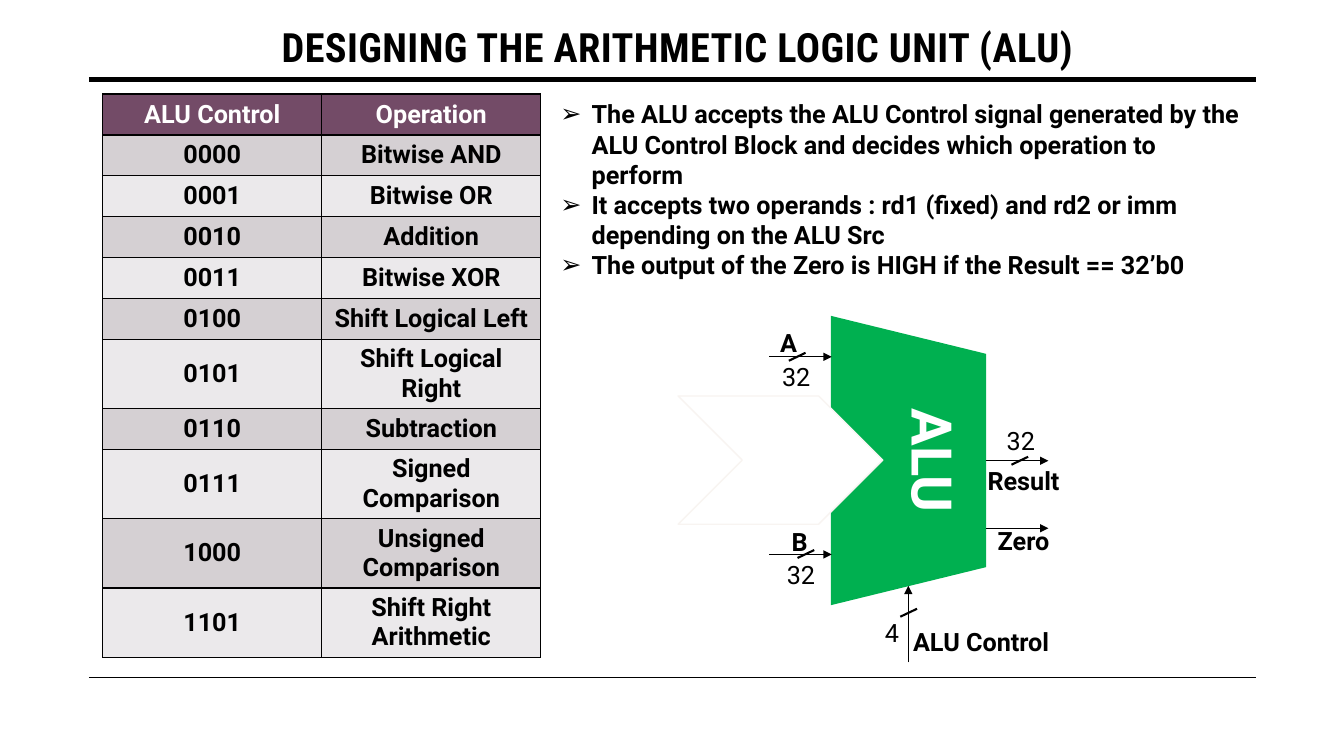
from lxml import etree
from pptx import Presentation
from pptx import util as u
from pptx.dml.color import RGBColor
from pptx.enum import shapes, text
from pptx.oxml.ns import qn

BLACK, WHITE, GREEN = "000000", "FFFFFF", "00B050"
LEFT, CENTER = text.PP_ALIGN.LEFT, text.PP_ALIGN.CENTER


def write(para, words, align=CENTER, color=BLACK, **changes):
    span = para.add_run()
    span.text = words
    para.alignment = align
    span.font.color.rgb = RGBColor.from_string(color)
    formats = {"name": "Roboto", "size": u.Pt(18), "bold": True} | changes
    for name, value in formats.items():
        setattr(span.font, name, value)
    return span


def draw_line(x1, y1, x2, y2, width, arrow=False):
    line = slide.shapes.add_connector(
        shapes.MSO_CONNECTOR.STRAIGHT, u.Cm(x1), u.Cm(y1), u.Cm(x2), u.Cm(y2))
    line.line.color.rgb = RGBColor.from_string(BLACK)
    line.line.width = u.Pt(width)
    if arrow:
        etree.SubElement(line.line._get_or_add_ln(), qn("a:tailEnd"), type="triangle")
    etree.SubElement(line._element.spPr, qn("a:effectLst"))


deck = Presentation()
deck.slide_width, deck.slide_height = u.Cm(33.87), u.Cm(19.05)
slide = deck.slides.add_slide(deck.slide_layouts[5])

# Rules above and below the content
draw_line(2.24, 2.01, 31.65, 2.01, 3.5)
draw_line(2.24, 17.07, 31.65, 17.07, 1)

# Title
title = slide.shapes.title
title.left, title.top, title.width, title.height = u.Cm(1.5), u.Cm(0.46), u.Cm(31.17), u.Cm(1.45)
title.text_frame.auto_size = text.MSO_AUTO_SIZE.NONE
title.text_frame.vertical_anchor = text.MSO_ANCHOR.BOTTOM
heading = write(title.text_frame.paragraphs[0], "DESIGNING THE ARITHMETIC LOGIC UNIT (ALU)",
                name="Roboto Condensed", size=u.Pt(28.8))
heading.font._element.set("spc", "30")

# Table of operations
operations = [
    ("ALU Control", "Operation"),
    ("0000", "Bitwise AND"),
    ("0001", "Bitwise OR"),
    ("0010", "Addition"),
    ("0011", "Bitwise XOR"),
    ("0100", "Shift Logical Left"),
    ("0101", "Shift Logical Right"),
    ("0110", "Subtraction"),
    ("0111", "Signed Comparison"),
    ("1000", "Unsigned Comparison"),
    ("1101", "Shift Right Arithmetic"),
]
heights = [1.74 if len(name) > 18 or name == "Signed Comparison" else 1.03
           for code, name in operations]
table = slide.shapes.add_table(len(operations), 2, u.Cm(2.59), u.Cm(2.37),
                               u.Cm(11.04), u.Cm(sum(heights))).table
for row, (values, height) in enumerate(zip(operations, heights)):
    table.rows[row].height = u.Cm(height)
    fill = "734B67" if row == 0 else ("EBE9EB", "D5D0D3")[row % 2]
    for column, value in enumerate(values):
        cell = table.cell(row, column)
        cell.vertical_anchor = text.MSO_ANCHOR.MIDDLE
        write(cell.text_frame.paragraphs[0], value, color=BLACK if row else WHITE)
        properties = cell._tc.get_or_add_tcPr()
        for side in ("lnL", "lnR", "lnT", "lnB"):
            border = etree.SubElement(properties, qn(f"a:{side}"), w=str(u.Pt(1)))
            solid = etree.SubElement(border, qn("a:solidFill"))
            etree.SubElement(solid, qn("a:srgbClr"), val=BLACK)
        cell.fill.solid()
        cell.fill.fore_color.rgb = RGBColor.from_string(fill)

# Bulleted notes
notes = [
    "The ALU accepts the ALU Control signal generated by the ALU Control Block "
    "and decides which operation to perform",
    "It accepts two operands : rd1 (fixed) and rd2 or imm depending on the ALU Src",
    "The output of the Zero is HIGH if the Result == 32’b0",
]
box = slide.shapes.add_textbox(u.Cm(13.87), u.Cm(2.36), u.Cm(17.75), u.Cm(5.64))
box.text_frame.word_wrap = True
for index, note in enumerate(notes):
    para = box.text_frame.add_paragraph() if index else box.text_frame.paragraphs[0]
    properties = para._p.get_or_add_pPr()
    properties.set("marL", str(u.Cm(0.79)))
    properties.set("indent", str(-u.Cm(0.79)))
    etree.SubElement(properties, qn("a:buFont"), typeface="Arial")
    etree.SubElement(properties, qn("a:buChar"), char="➢")
    write(para, note, LEFT)

# ALU body: a trapezoid with a chevron cutting its notch
body = slide.shapes.add_shape(shapes.MSO_SHAPE.TRAPEZOID,
                              u.Cm(19.25), u.Cm(9.65), u.Cm(7.29), u.Cm(3.91))
body.rotation = 90
body.adjustments[0] = 0.245
body.text_frame.vertical_anchor = text.MSO_ANCHOR.TOP
write(body.text_frame.paragraphs[0], "ALU", color=WHITE, size=u.Pt(40))
notch = slide.shapes.add_shape(shapes.MSO_SHAPE.CHEVRON,
                               u.Cm(17.09), u.Cm(9.98), u.Cm(5.16), u.Cm(3.23))
for shape, fill in ((body, GREEN), (notch, WHITE)):
    shape.shadow.inherit = False
    shape.fill.solid()
    shape.fill.fore_color.rgb = RGBColor.from_string(fill)
body.line.fill.background()
notch.line.color.rgb = RGBColor.from_string("F8F4F1")
notch.line.width = u.Pt(1)

# Signal arrows: control, A, B, result, zero
for ends in [(22.89, 16.69, 22.89, 14.76), (19.38, 8.99, 20.96, 8.99),
             (19.38, 13.97, 20.96, 13.97), (24.84, 11.61, 26.42, 11.61),
             (24.84, 13.31, 26.42, 13.31)]:
    draw_line(*ends, 0.5, arrow=True)

# Bus-width slashes, by centre
for x, y in [(20.09, 8.99), (20.31, 13.96), (25.7, 11.61), (22.9, 15.44)]:
    draw_line(x - 0.21, y + 0.1, x + 0.21, y - 0.1, 1.5)

# Signal names and bus widths
NAME, BUS = 4.75, 1.27
labels = [
    ("ALU Control", 22.76, 15.67, NAME, LEFT),
    ("Result", 23.42, 11.61, NAME, CENTER),
    ("Zero", 23.42, 13.11, NAME, CENTER),
    ("A", 17.5, 8.13, NAME, CENTER),
    ("B", 17.78, 13.13, NAME, CENTER),
    ("32", 19.46, 8.97, BUS, LEFT),
    ("32", 19.58, 13.97, BUS, LEFT),
    ("32", 25.12, 10.59, BUS, LEFT),
    ("4", 22.05, 15.44, BUS, LEFT),
]
for words, x, y, width, align in labels:
    box = slide.shapes.add_textbox(u.Cm(x), u.Cm(y), u.Cm(width), u.Cm(1.02))
    box.text_frame.word_wrap = True
    write(box.text_frame.paragraphs[0], words, align, bold=width == NAME)

deck.save("out.pptx")
